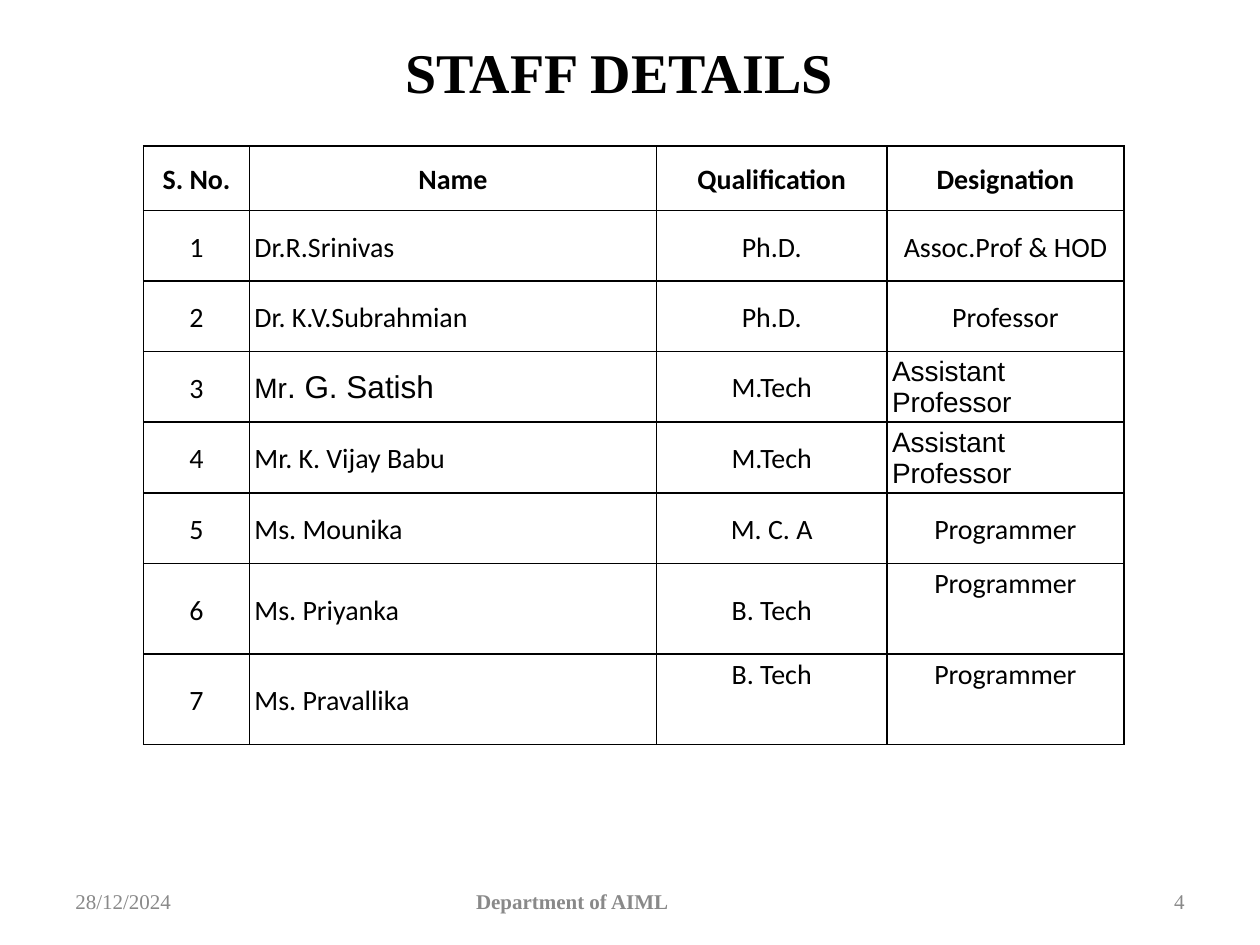
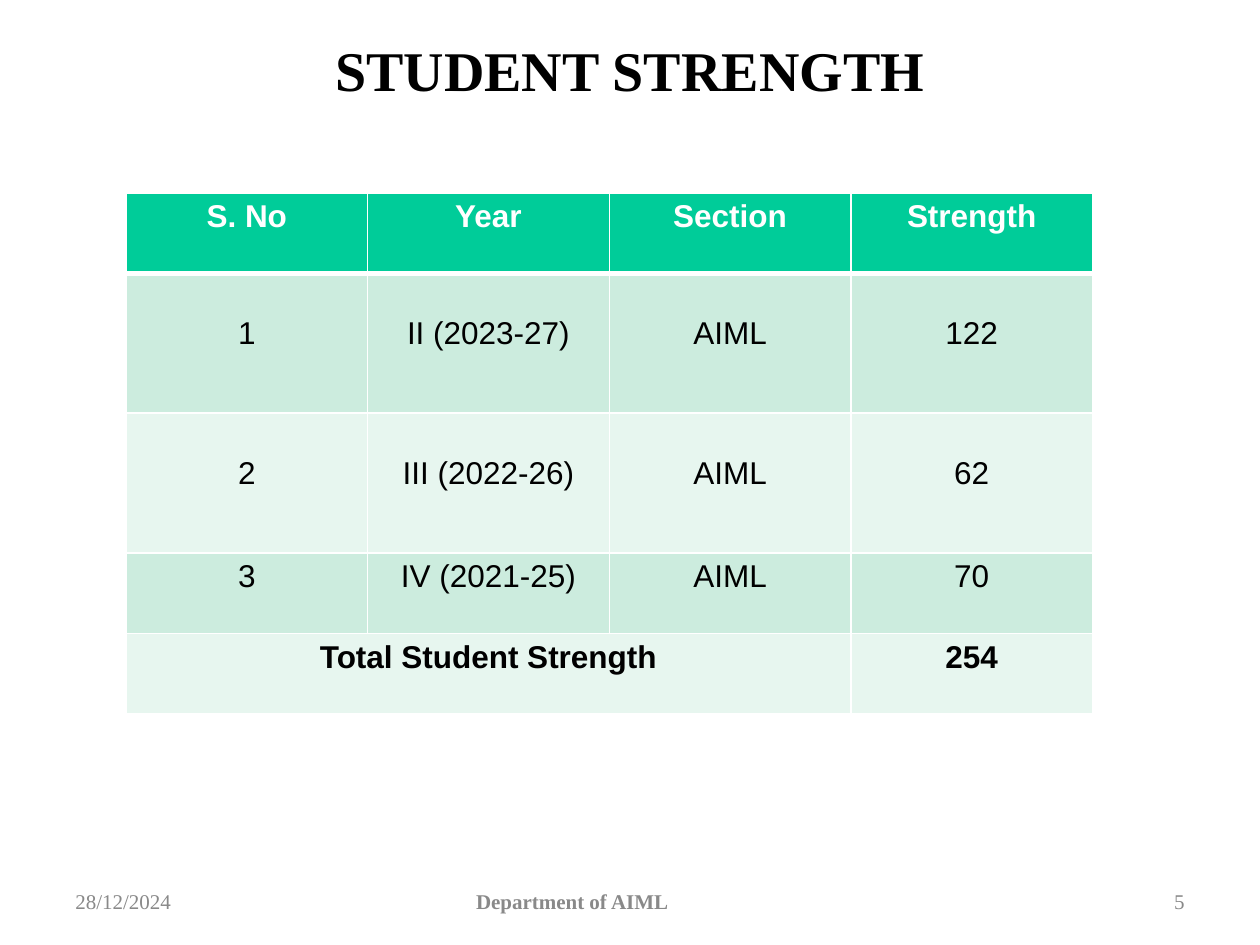
from lxml import etree
from pptx import Presentation
from pptx.dml.color import RGBColor
from pptx.enum.text import MSO_ANCHOR, PP_ALIGN
from pptx.oxml.ns import qn
from pptx.util import Inches, Pt

LEFT, CENTER, RIGHT = PP_ALIGN.LEFT, PP_ALIGN.CENTER, PP_ALIGN.RIGHT
TOP, MIDDLE = MSO_ANCHOR.TOP, MSO_ANCHOR.MIDDLE

SLIDE_W, SLIDE_H = Inches(10), Inches(7.5)
COLORS = {
    "ink": "000000",
    "white": "FFFFFF",
    "footer": "898989",
    "header": "00CC99",
    "band_dark": "CCECDE",
    "band_light": "E7F6EF",
}
SERIF, SANS, BODY = "Times New Roman", "Arial", "Calibri"
FOOTER_TOP, FOOTER_H = 92.67, 5.33

STAFF = [
    ("S. No.", "Name", "Qualification", "Designation"),
    ("1", "Dr.R.Srinivas", "Ph.D.", "Assoc.Prof & HOD"),
    ("2", "Dr. K.V.Subrahmian", "Ph.D.", "Professor"),
    ("3", "Mr. G. Satish", "M.Tech", "Assistant Professor"),
    ("4", "Mr. K. Vijay Babu", "M.Tech", "Assistant Professor"),
    ("5", "Ms. Mounika", "M. C. A", "Programmer"),
    ("6", "Ms. Priyanka", "B. Tech", "Programmer"),
    ("7", "Ms. Pravallika", "B. Tech", "Programmer"),
]
STAFF_ARIAL = {(3, 1), (3, 3), (4, 3)}
STAFF_SINGLE_SPACED = STAFF_ARIAL | {(3, 2)}
STAFF_TOP = {(6, 3), (7, 2), (7, 3)}

STRENGTH = [
    ("S. No", "Year", "Section", "Strength"),
    ("1", "II (2023-27)", "AIML", "122"),
    ("2", "III (2022-26)", "AIML", "62"),
    ("3", "IV (2021-25)", "AIML", "70"),
    ("Total Student Strength", "", "", "254"),
]


# Lengths are percentages of the slide's width and height
def across(share):
    return int(SLIDE_W * share / 100)


def down(share):
    return int(SLIDE_H * share / 100)


def rgb(name):
    return RGBColor.from_string(COLORS[name])


def style(p, size, font, color, bold=False, align=CENTER):
    p.alignment = align
    p.font.size = Pt(size)
    p.font.name = font
    p.font.bold = bold
    p.font.color.rgb = rgb(color)


def add_text(s, text, x, y, w, h, *look, **options):
    tf = s.shapes.add_textbox(across(x), down(y), across(w), down(h)).text_frame
    tf.word_wrap = True
    tf.vertical_anchor = MIDDLE
    tf.text = text
    style(tf.paragraphs[0], *look, **options)


def new_slide(prs, title, number, title_box):
    s = prs.slides.add_slide(prs.slide_layouts[6])
    add_text(s, title, *title_box, 32, SERIF, "ink", bold=True)
    footers = [
        ("28/12/2024", 5, 23.33, False, LEFT),
        ("Department of AIML", 25, 40.83, True, CENTER),
        (str(number), 71.67, 23.33, False, RIGHT),
    ]
    for text, x, w, bold, align in footers:
        add_text(s, text, x, FOOTER_TOP, w, FOOTER_H, 12, SERIF, "footer",
                 bold=bold, align=align)
    return s


def add_grid(s, x, y, widths, heights):
    table = s.shapes.add_table(len(heights), len(widths), across(x), down(y),
                               across(sum(widths)), down(sum(heights))).table
    table.first_row = table.horz_banding = False
    for column, width in zip(table.columns, widths):
        column.width = across(width)
    for row, height in zip(table.rows, heights):
        row.height = down(height)
    return table


def set_borders(cell, color, top=1, bottom=1):
    tc_pr = cell._tc.get_or_add_tcPr()
    sides = {"a:lnL": 1, "a:lnR": 1, "a:lnT": top, "a:lnB": bottom}
    for i, (tag, width) in enumerate(sides.items()):
        ln = etree.Element(qn(tag), w=str(Pt(width)))
        fill = etree.SubElement(ln, qn("a:solidFill"))
        etree.SubElement(fill, qn("a:srgbClr"), val=COLORS[color])
        tc_pr.insert(i, ln)


def set_margins(cell, side, top, bottom):
    cell.margin_left = cell.margin_right = Inches(side)
    cell.margin_top, cell.margin_bottom = Inches(top), Inches(bottom)


def add_staff_table(s):
    table = add_grid(s, 11.4, 15.47, [8.4, 32.3, 18.3, 18.8],
                     [6.8] + [7.47] * 5 + [9.6] * 2)
    for r, row in enumerate(STAFF):
        for c, text in enumerate(row):
            cell, spot = table.cell(r, c), (r, c)
            is_left = r > 0 and c == 1 or spot in STAFF_ARIAL
            cell.text = text
            cell.fill.background()
            cell.vertical_anchor = TOP if spot in STAFF_TOP else MIDDLE
            set_margins(cell, 0.01 if r == 0 or c == 0 else 0.04, 0.01, 0)
            set_borders(cell, "ink")
            p = cell.text_frame.paragraphs[0]
            style(p, 16, SANS if spot in STAFF_ARIAL else BODY, "ink",
                  bold=r == 0, align=LEFT if is_left else CENTER)
            if spot not in STAFF_SINGLE_SPACED:
                p.line_spacing = 1.07
                p.space_after = Pt(8)

    # One name is set larger after its courtesy title
    p = table.cell(3, 1).text_frame.paragraphs[0]
    p.runs[0].text = "Mr"
    name = p.add_run()
    name.text = ". G. Satish"
    name.font.size = Pt(18)


def add_strength_table(s):
    table = add_grid(s, 10, 20.4, [19.18] * 4, [8.53, 14.8, 14.8, 8.53, 8.53])
    last = len(STRENGTH) - 1
    for r, row in enumerate(STRENGTH):
        band = "header" if r == 0 else "band_dark" if r % 2 else "band_light"
        for c, text in enumerate(row):
            cell = table.cell(r, c)
            cell.text = text
            cell.fill.solid()
            cell.fill.fore_color.rgb = rgb(band)
            cell.vertical_anchor = TOP
            # The two tall rows start one line lower
            set_margins(cell, 0.1, 0.34 if r in (1, 2) else 0.05, 0.05)
            set_borders(cell, "white", top=3 if r == 1 else 1,
                        bottom=3 if r == 0 else 1)
            style(cell.text_frame.paragraphs[0], 18, SANS,
                  "white" if r == 0 else "ink", bold=r in (0, last))
    table.cell(last, 0).merge(table.cell(last, 2))


def main():
    prs = Presentation()
    prs.slide_width, prs.slide_height = SLIDE_W, SLIDE_H

    # Staff
    s = new_slide(prs, "STAFF DETAILS", 4, (5.8, 4, 86.7, 7.07))
    add_staff_table(s)

    # Students
    s = new_slide(prs, "STUDENT STRENGTH", 5, (5, 2.27, 90, 10))
    add_strength_table(s)

    prs.save("out.pptx")


if __name__ == "__main__":
    main()
